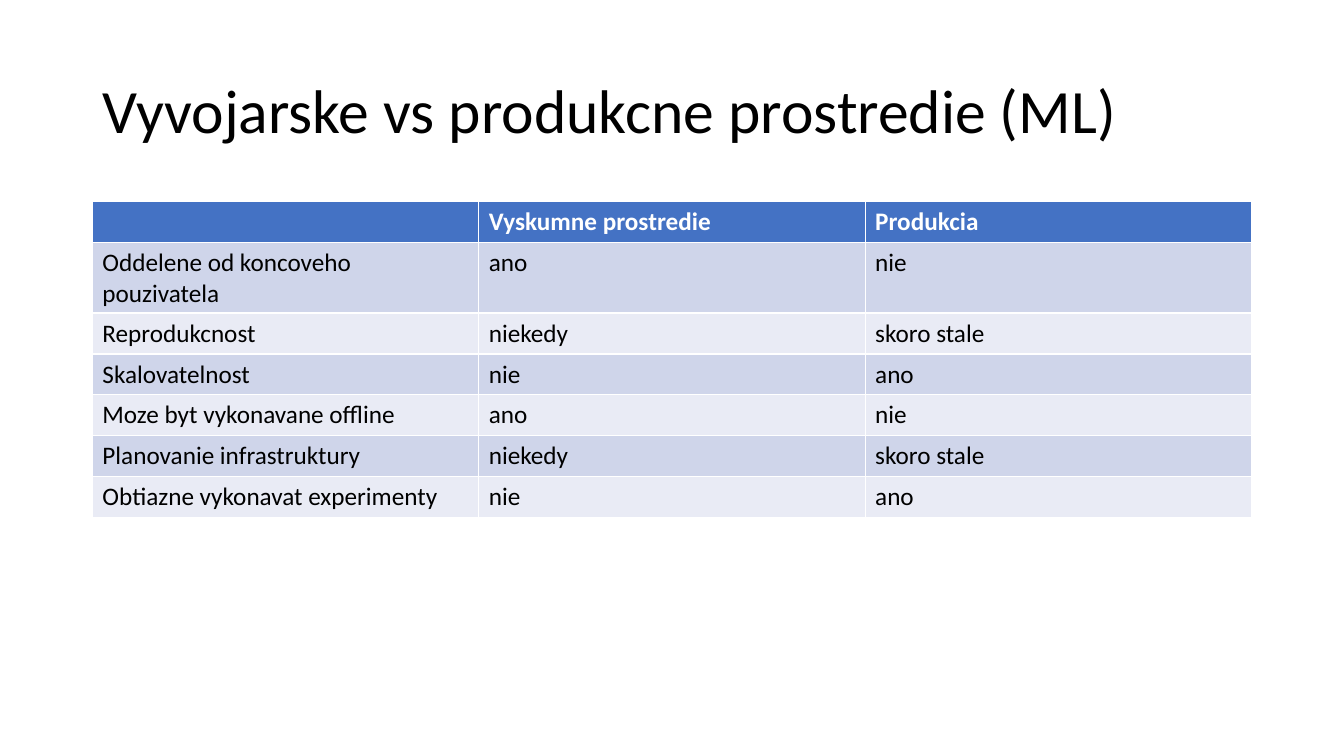
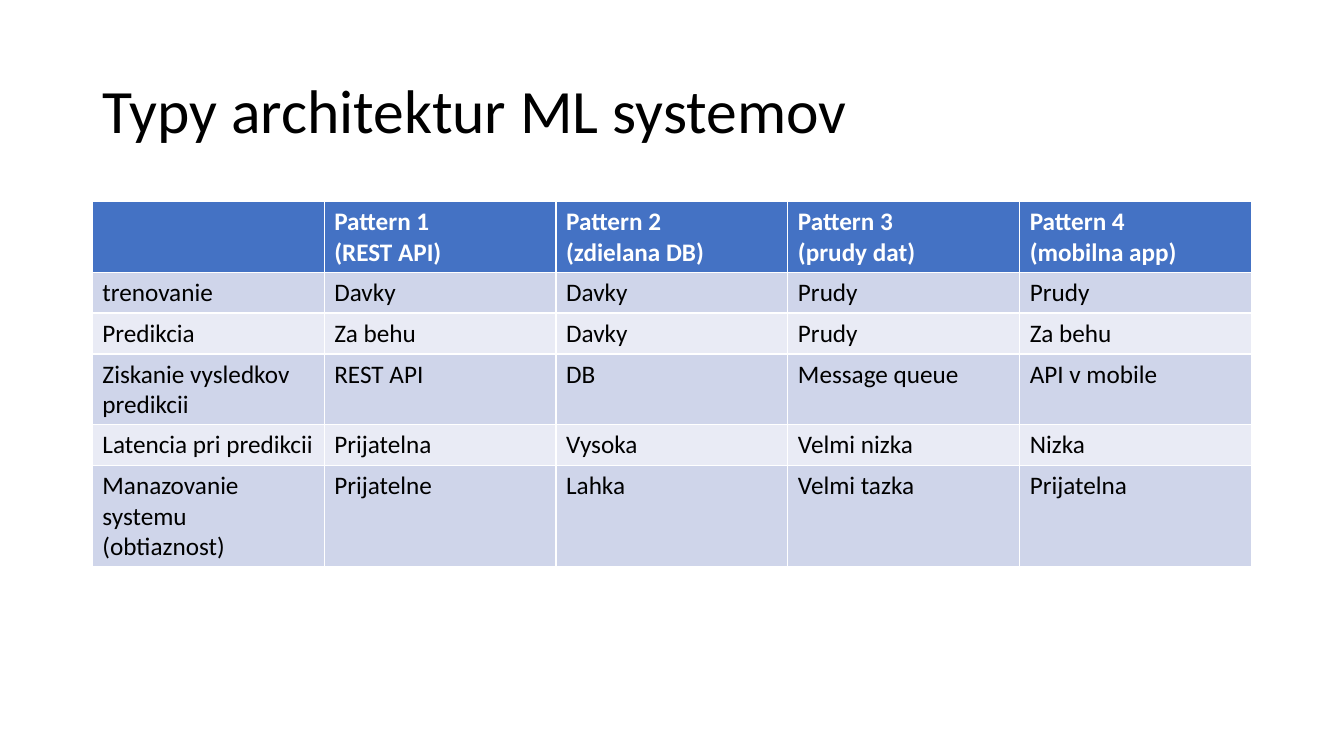
from dataclasses import dataclass

from pptx import Presentation
from pptx import util as u
from pptx.dml import color
from pptx.enum import text

FONT = "Calibri"
BLACK, WHITE = "000000", "FFFFFF"
HEADER_FILL = "4472C4"
BAND_FILLS = ("E9EBF5", "CFD5EA")

LEFT, WIDTH = 66, 828
TITLE_TOP, TITLE_HEIGHT = 28.75, 104.4
TABLE_TOP, ROW_HEIGHT = 144, 29.2


@dataclass(frozen=True)
class TableSlide:
    title: str
    rows: tuple[tuple[str, ...], ...]


SLIDES = (
    TableSlide(
        "Vyvojarske vs produkcne prostredie (ML)",
        (
            ("", "Vyskumne prostredie", "Produkcia"),
            ("Oddelene od koncoveho pouzivatela", "ano", "nie"),
            ("Reprodukcnost", "niekedy", "skoro stale"),
            ("Skalovatelnost", "nie", "ano"),
            ("Moze byt vykonavane offline", "ano", "nie"),
            ("Planovanie infrastruktury", "niekedy", "skoro stale"),
            ("Obtiazne vykonavat experimenty", "nie", "ano"),
        ),
    ),
    TableSlide(
        "Typy architektur ML systemov",
        (
            ("", "Pattern 1\n(REST API)", "Pattern 2\n(zdielana DB)",
             "Pattern 3\n(prudy dat)", "Pattern 4\n(mobilna app)"),
            ("trenovanie", "Davky", "Davky", "Prudy", "Prudy"),
            ("Predikcia", "Za behu", "Davky", "Prudy", "Za behu"),
            ("Ziskanie vysledkov predikcii", "REST API", "DB",
             "Message queue", "API v mobile"),
            ("Latencia pri predikcii", "Prijatelna", "Vysoka",
             "Velmi nizka", "Nizka"),
            ("Manazovanie systemu (obtiaznost)", "Prijatelne", "Lahka",
             "Velmi tazka", "Prijatelna"),
        ),
    ),
)


def rgb(value: str) -> color.RGBColor:
    return color.RGBColor.from_string(value)


def write(frame, content: str, size: float, ink: str, bold: bool = False) -> None:
    frame.text = content
    for para in frame.paragraphs:
        para.font.name = FONT
        para.font.size = u.Pt(size)
        para.font.bold = bold
        para.font.color.rgb = rgb(ink)


def add_title(page, title: str) -> None:
    box = page.shapes.add_textbox(
        u.Pt(LEFT), u.Pt(TITLE_TOP), u.Pt(WIDTH), u.Pt(TITLE_HEIGHT)
    )
    frame = box.text_frame
    frame.word_wrap = True
    frame.vertical_anchor = text.MSO_ANCHOR.MIDDLE
    write(frame, title, 44, BLACK)
    frame.paragraphs[0].line_spacing = 0.9


def add_grid(page, rows: tuple[tuple[str, ...], ...]) -> None:
    table = page.shapes.add_table(
        len(rows), len(rows[0]), u.Pt(LEFT), u.Pt(TABLE_TOP),
        u.Pt(WIDTH), u.Pt(ROW_HEIGHT * len(rows)),
    ).table
    for row_index, row in enumerate(rows):
        header = row_index == 0
        fill = HEADER_FILL if header else BAND_FILLS[row_index % 2]
        for column_index, content in enumerate(row):
            cell = table.cell(row_index, column_index)
            cell.fill.solid()
            cell.fill.fore_color.rgb = rgb(fill)
            write(cell.text_frame, content, 18, WHITE if header else BLACK, header)


def main() -> None:
    deck = Presentation()
    deck.slide_width, deck.slide_height = u.Pt(960), u.Pt(540)
    blank = deck.slide_layouts[6]
    for item in SLIDES:
        page = deck.slides.add_slide(blank)
        add_title(page, item.title)
        add_grid(page, item.rows)
    deck.save("out.pptx")


if __name__ == "__main__":
    main()
